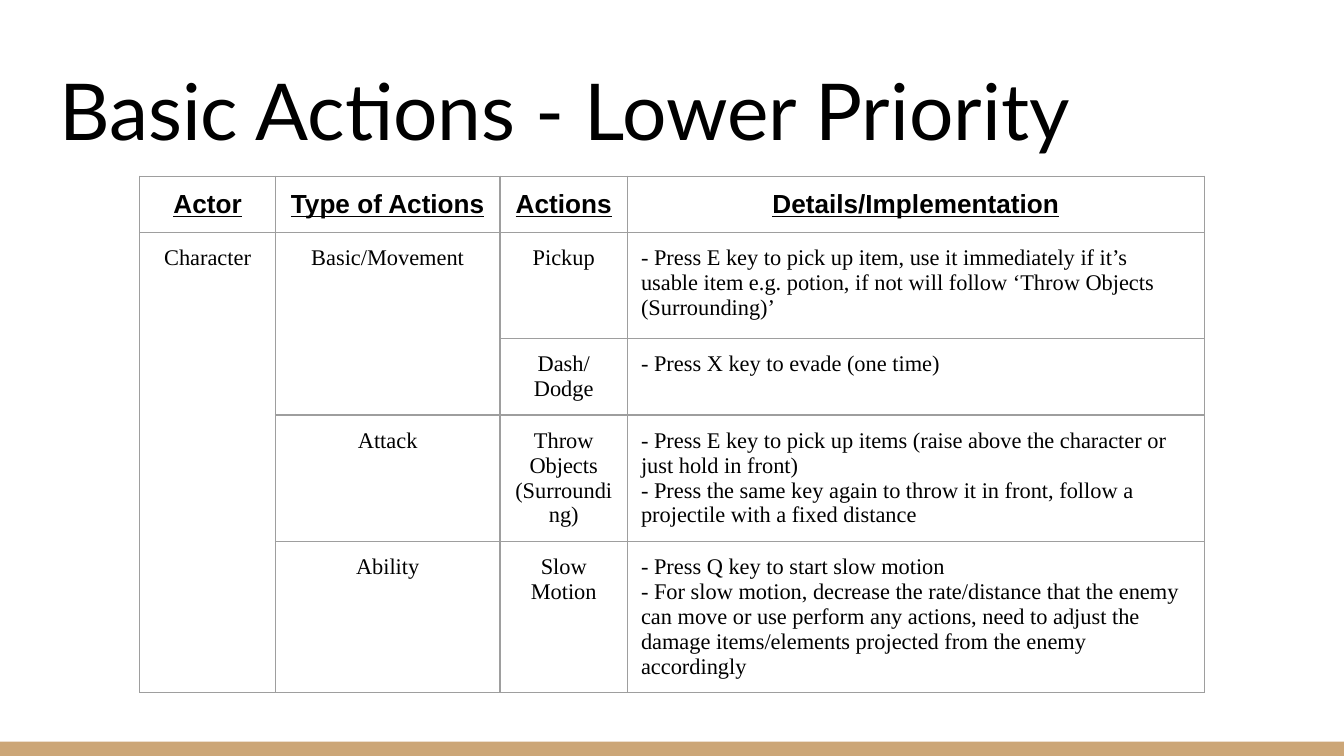
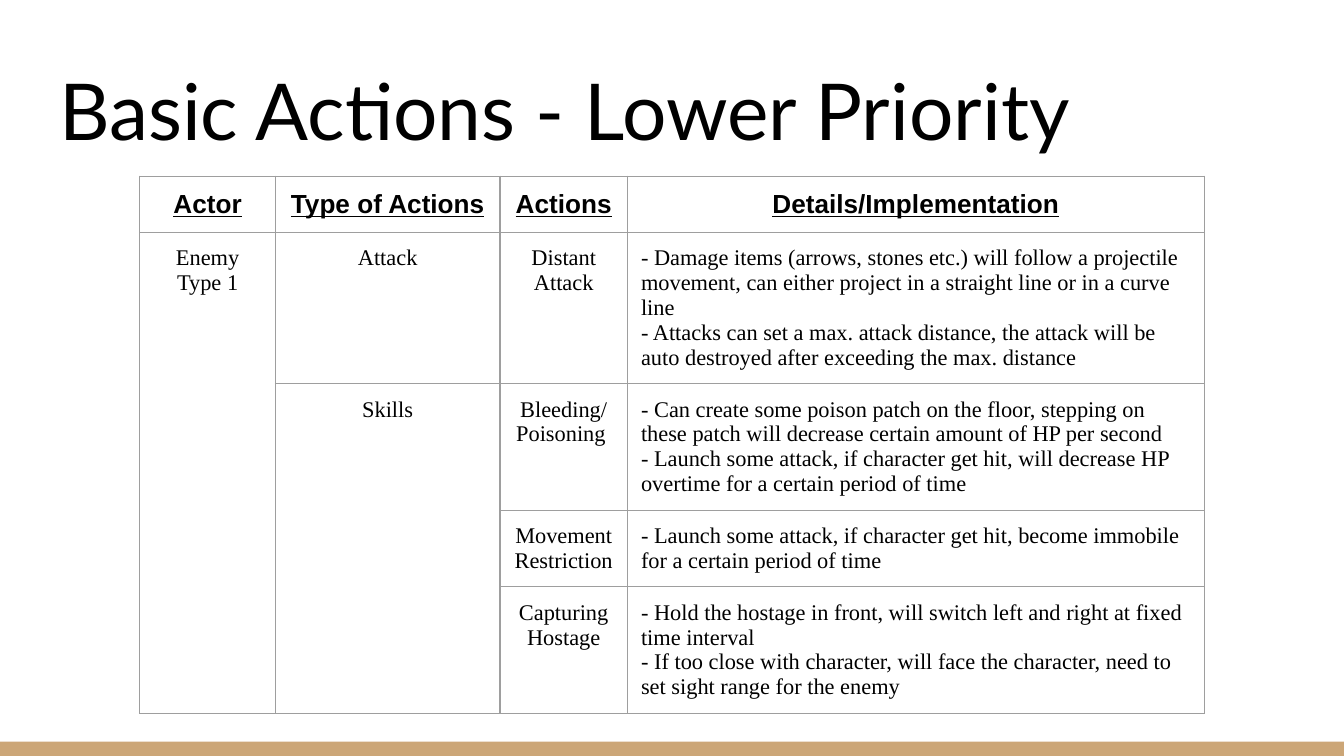
from dataclasses import dataclass

from lxml import etree
from pptx import Presentation
from pptx.dml.color import RGBColor
from pptx.enum.shapes import MSO_SHAPE
from pptx.enum.text import MSO_ANCHOR, MSO_AUTO_SIZE, PP_ALIGN
from pptx.oxml.ns import qn
from pptx.util import Inches, Pt

RECTANGLE = MSO_SHAPE.RECTANGLE
BOTTOM, TOP = MSO_ANCHOR.BOTTOM, MSO_ANCHOR.TOP
LEFT, CENTER = PP_ALIGN.LEFT, PP_ALIGN.CENTER
NO_AUTOFIT = MSO_AUTO_SIZE.NONE

WIDTH = Inches(10)
HEIGHT = WIDTH * 9 // 16
TITLE_ONLY = 5


@dataclass(frozen=True)
class TextStyle:
    font: str
    size: int
    bold: bool = False
    underline: bool = False


@dataclass(frozen=True)
class Theme:
    text: str = "000000"
    band: str = "CCA677"
    border: str = "9E9E9E"
    border_width: int = Pt(0.75)
    inset: int = Inches(0.1)
    title: TextStyle = TextStyle("Lato", 42)
    header: TextStyle = TextStyle("Arial", 14, bold=True, underline=True)
    body: TextStyle = TextStyle("Times New Roman", 12)


THEME = Theme()

TITLE = "Basic Actions - Lower Priority"
HEADER = ("Actor", "Type of Actions", "Actions", "Details/Implementation")
COLUMN_SHARES = (10.1, 16.7, 9.5, 42.9)
DETAILS_COLUMN = len(HEADER) - 1

# An empty cell continues the cell above it.
CHARACTER_ROWS = [
    ("Character", "Basic/Movement", "Pickup",
     "- Press E key to pick up item, use it immediately if it’s usable item "
     "e.g. potion, if not will follow ‘Throw Objects (Surrounding)’"),
    ("", "", "Dash/\nDodge", "- Press X key to evade (one time)"),
    ("", "Attack", "Throw Objects (Surrounding)",
     "- Press E key to pick up items (raise above the character or just hold "
     "in front)\n"
     "- Press the same key again to throw it in front, follow a projectile "
     "with a fixed distance"),
    ("", "Ability", "Slow Motion",
     "- Press Q key to start slow motion\n"
     "- For slow motion, decrease the rate/distance that the enemy can move "
     "or use perform any actions, need to adjust the damage items/elements "
     "projected from the enemy accordingly"),
]
ENEMY_ROWS = [
    ("Enemy Type 1", "Attack", "Distant Attack",
     "- Damage items (arrows, stones etc.) will follow a projectile movement, "
     "can either project in a straight line or in a curve line\n"
     "- Attacks can set a max. attack distance, the attack will be auto "
     "destroyed after exceeding the max. distance"),
    ("", "Skills", "Bleeding/\nPoisoning ",
     "- Can create some poison patch on the floor, stepping on these patch "
     "will decrease certain amount of HP per second\n"
     "- Launch some attack, if character get hit, will decrease HP overtime "
     "for a certain period of time"),
    ("", "", "Movement Restriction",
     "- Launch some attack, if character get hit, become immobile for a "
     "certain period of time"),
    ("", "", "Capturing Hostage",
     "- Hold the hostage in front, will switch left and right at fixed time "
     "interval\n"
     "- If too close with character, will face the character, need to set "
     "sight range for the enemy"),
]
# Action rows with the row heights of their table, in percent of the slide.
ACTION_TABLES = [
    (CHARACTER_ROWS, (6.9, 14, 6.9, 16.7, 12.4)),
    (ENEMY_ROWS, (7.1, 19.9, 16.5, 8.7, 16)),
]


def across(percent):
    return round(WIDTH * percent / 100)


def down(percent):
    return round(HEIGHT * percent / 100)


def style_text(text_frame, style, alignment):
    for paragraph in text_frame.paragraphs:
        paragraph.alignment = alignment
        for run in paragraph.runs:
            font = run.font
            font.name = style.font
            font.size = Pt(style.size)
            font.bold = style.bold
            font.underline = style.underline
            font.color.rgb = RGBColor.from_string(THEME.text)


def set_insets(target):
    target.margin_left = target.margin_right = THEME.inset
    target.margin_top = target.margin_bottom = THEME.inset


def add_band(slide):
    """Draw the bottom band once, on the layout that the slides share."""
    band = slide.shapes.add_shape(RECTANGLE, 0, down(98.1), WIDTH, down(1.9))
    band.shadow.inherit = False
    band.fill.solid()
    band.fill.fore_color.rgb = RGBColor.from_string(THEME.band)
    band.line.fill.background()
    slide.slide_layout.shapes.element.insert(2, band.element)


def add_title(slide, text):
    title = slide.shapes.title
    title.left, title.top = across(3.4), down(6.2)
    title.width, title.height = across(93.2), down(16.2)
    frame = title.text_frame
    frame.text = text
    frame.word_wrap = True
    frame.auto_size = NO_AUTOFIT
    frame.vertical_anchor = BOTTOM
    set_insets(frame)
    style_text(frame, THEME.title, LEFT)


def add_borders(cell):
    properties = cell._tc.get_or_add_tcPr()
    for side in ("lnL", "lnR", "lnT", "lnB"):
        line = etree.SubElement(properties, qn(f"a:{side}"),
                                w=str(THEME.border_width))
        fill = etree.SubElement(line, qn("a:solidFill"))
        etree.SubElement(fill, qn("a:srgbClr"), val=THEME.border)


def fill_cell(cell, text, style, alignment):
    set_insets(cell)
    cell.vertical_anchor = TOP
    add_borders(cell)
    cell.fill.background()
    cell.text_frame.text = text
    style_text(cell.text_frame, style, alignment)


def merge_continued_cells(table, rows):
    for column in range(len(HEADER)):
        starts = [index for index, row in enumerate(rows) if row[column]]
        for start, end in zip(starts, starts[1:] + [len(rows)]):
            if end - start > 1:
                table.cell(start, column).merge(table.cell(end - 1, column))


def add_action_table(slide, action_rows, row_shares):
    rows = [HEADER, *action_rows]
    table = slide.shapes.add_table(
        len(rows), len(HEADER), across(10.4), down(23.3),
        across(sum(COLUMN_SHARES)), down(sum(row_shares))).table
    table.first_row = table.horz_banding = False
    for column, share in zip(table.columns, COLUMN_SHARES):
        column.width = across(share)
    for row, share in zip(table.rows, row_shares):
        row.height = down(share)
    for row_index, row in enumerate(rows):
        is_header = row_index == 0
        style = THEME.header if is_header else THEME.body
        for column_index, text in enumerate(row):
            is_details = column_index == DETAILS_COLUMN and not is_header
            fill_cell(table.cell(row_index, column_index), text, style,
                      LEFT if is_details else CENTER)
    merge_continued_cells(table, rows)


def main():
    presentation = Presentation()
    presentation.slide_width, presentation.slide_height = WIDTH, HEIGHT
    layout = presentation.slide_layouts[TITLE_ONLY]
    for action_rows, row_shares in ACTION_TABLES:
        slide = presentation.slides.add_slide(layout)
        add_title(slide, TITLE)
        add_action_table(slide, action_rows, row_shares)
    add_band(slide)
    presentation.save("out.pptx")


if __name__ == "__main__":
    main()
